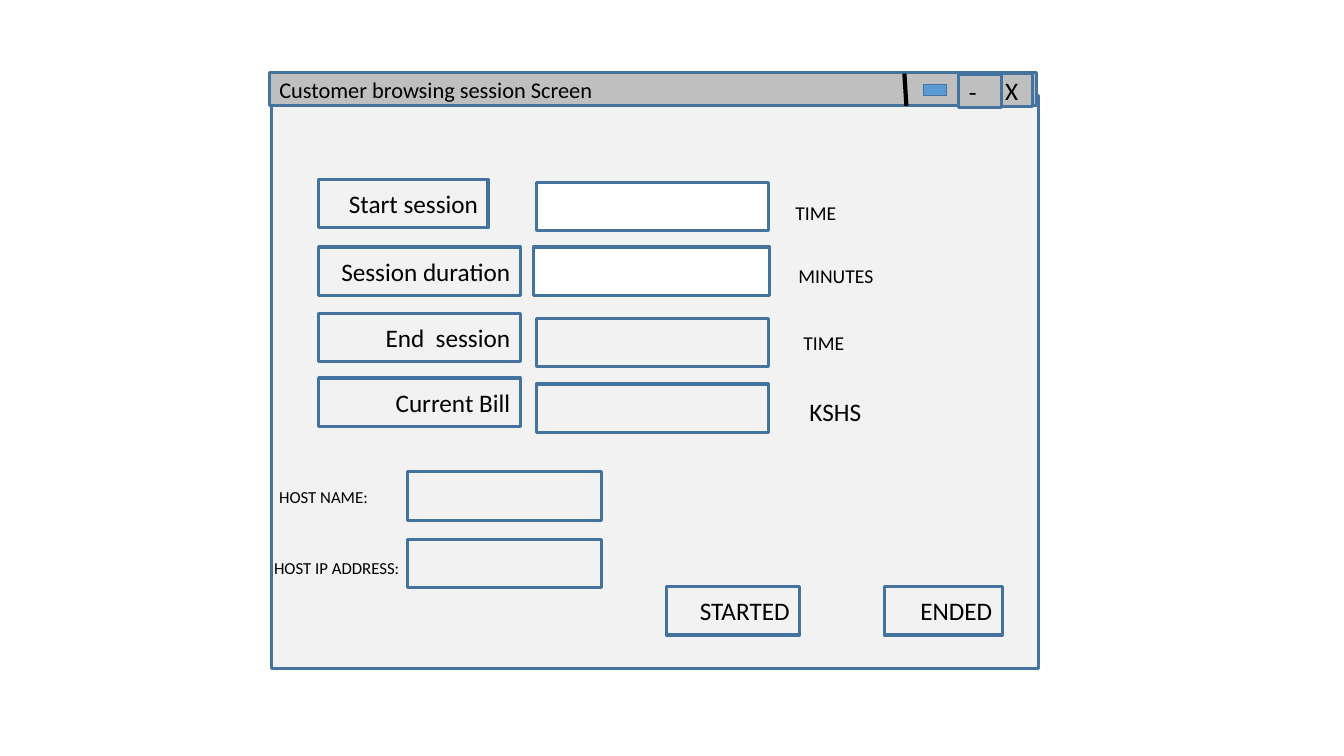
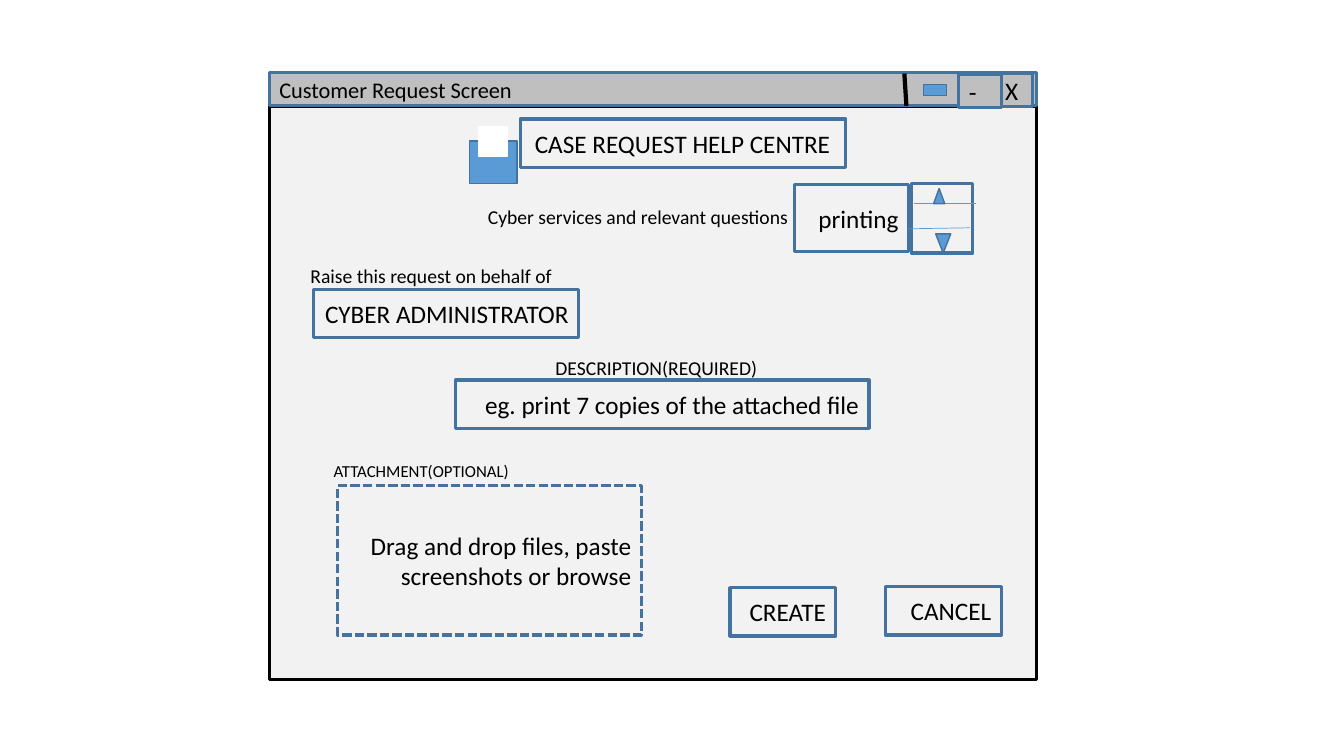
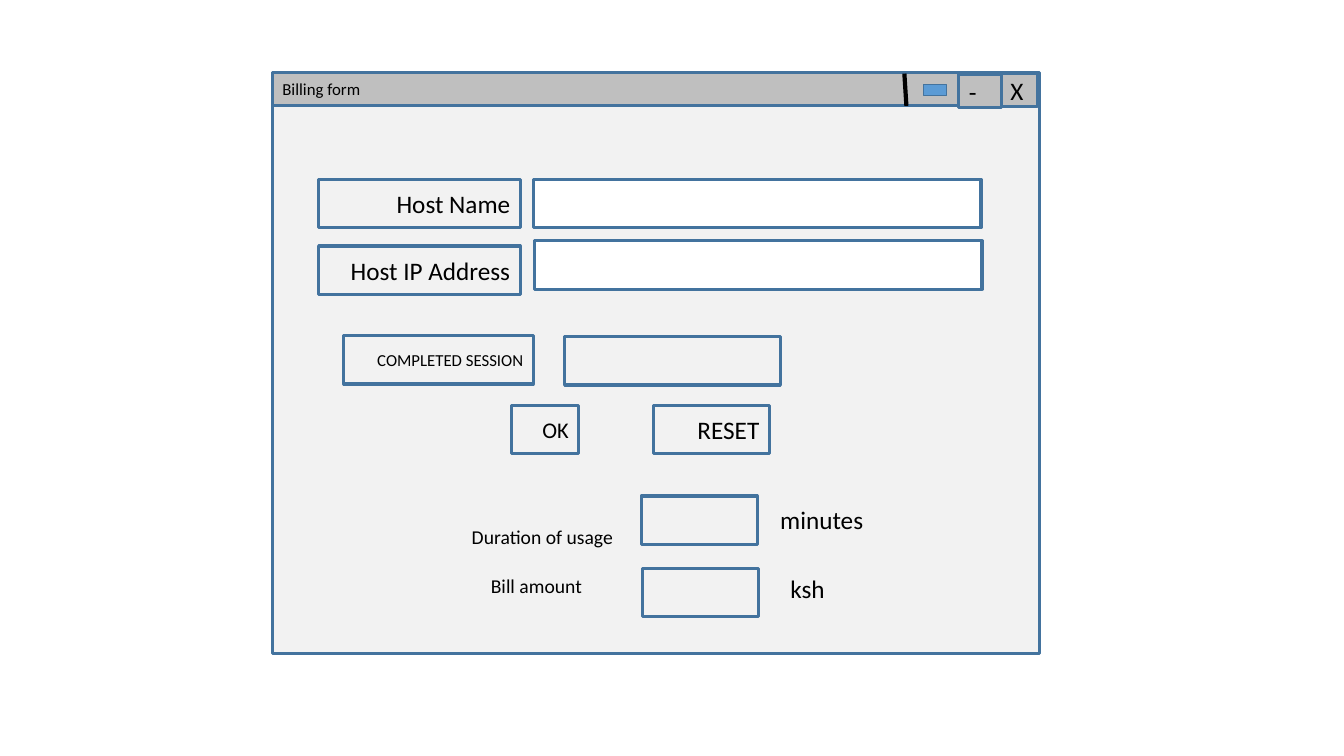
from lxml.etree import SubElement
from pptx import Presentation
from pptx.dml.color import RGBColor
from pptx.enum.dml import MSO_LINE
from pptx.enum.shapes import MSO_CONNECTOR, MSO_SHAPE
from pptx.enum.text import MSO_ANCHOR, MSO_AUTO_SIZE, PP_ALIGN
from pptx.oxml.ns import qn
from pptx.util import Inches, Pt

COLORS = {
    "panel": "F2F2F2",
    "bar": "BFBFBF",
    "border": "43739E",
    "accent": "5B9BD5",
    "input": "FFFFFF",
    "ink": "000000",
}
FONT = "Calibri"
SLIDE_WIDTH = Inches(13.33)
SLIDE_HEIGHT = Inches(7.5)
GRID_ROWS = 75
CELL = SLIDE_HEIGHT / GRID_ROWS
WINDOW_WIDTH = 76.1
WINDOW_HEIGHT = 56.8
BAR_TOP = 7.2
BAR_HEIGHT = 3.3
FIELD_HEIGHT = 4.8
LABEL_LEFT = 31.6
LABEL_WIDTH = 20


def color(name):
    return RGBColor.from_string(COLORS[name])


def cells(*counts):
    return [round(count * CELL) for count in counts]


def paint(shape, fill, border="border", weight=2.25):
    shape.fill.solid()
    shape.fill.fore_color.rgb = color(fill)
    shape.line.color.rgb = color(border)
    shape.line.width = Pt(weight)


def write(shape, text, size, alignment=PP_ALIGN.LEFT, anchor=MSO_ANCHOR.MIDDLE):
    frame = shape.text_frame
    frame.text = text
    frame.word_wrap = True
    frame.auto_size = MSO_AUTO_SIZE.NONE
    frame.vertical_anchor = anchor
    paragraph = frame.paragraphs[0]
    paragraph.alignment = alignment
    for run in paragraph.runs:
        run.font.name = FONT
        run.font.size = Pt(size)
        run.font.color.rgb = color("ink")


def add_block(slide, left, top, width, height, fill,
              border="border", weight=2.25, kind=MSO_SHAPE.RECTANGLE):
    shape = slide.shapes.add_shape(kind, *cells(left, top, width, height))
    shape.shadow.inherit = False
    paint(shape, fill, border, weight)
    return shape


def add_field(slide, left, top, width, text="", size=18, fill="panel",
              height=FIELD_HEIGHT, alignment=PP_ALIGN.RIGHT):
    field = add_block(slide, left, top, width, height, fill)
    if text:
        write(field, text, size, alignment)
    return field


def add_caption(slide, left, top, width, text, size=14):
    caption = slide.shapes.add_textbox(*cells(left, top, width, size / 5 + 0.5))
    write(caption, text, size, anchor=MSO_ANCHOR.TOP)


def add_line(slide, start, end, name, weight):
    line = slide.shapes.add_connector(MSO_CONNECTOR.STRAIGHT, *cells(*start, *end))
    line.line.color.rgb = color(name)
    line.line.width = Pt(weight)
    SubElement(line.element.spPr, qn("a:effectLst"))


def add_window(presentation, title, left, top, bar_left=26.7, title_size=16,
               close_left=98.3, border="border"):
    slide = presentation.slides.add_slide(presentation.slide_layouts[5])
    bar = slide.shapes.title
    window = add_block(slide, left, top, WINDOW_WIDTH, WINDOW_HEIGHT, "panel", border)
    bar.element.addprevious(window.element)
    bar.left, bar.top, bar.width, bar.height = cells(
        bar_left, BAR_TOP, WINDOW_WIDTH, BAR_HEIGHT)
    paint(bar, "bar")
    write(bar, title, title_size)
    add_field(slide, close_left, 7.3, 4.1, "X", fill="bar", height=BAR_HEIGHT,
              alignment=PP_ALIGN.CENTER)
    add_field(slide, 95.1, 7.4, 4.2, "-", fill="bar", height=BAR_HEIGHT,
              alignment=PP_ALIGN.LEFT)
    add_block(slide, 91.6, 8.4, 2.3, 1.1, "accent", weight=1)
    add_line(slide, (89.7, 7.3), (89.9, 10.5), "ink", 3)
    return slide


def build_session(presentation):
    slide = add_window(presentation, "Customer browsing session Screen", 26.9, 9.5)
    for top, width, text in (
        (17.8, 16.8, "Start session"),
        (24.5, LABEL_WIDTH, "Session duration"),
        (31.1, LABEL_WIDTH, "End  session"),
        (37.5, LABEL_WIDTH, "Current Bill"),
    ):
        add_field(slide, LABEL_LEFT, top, width, text)
    for left, top, width, fill in (
        (53.2, 18.1, 23, "input"),
        (52.9, 24.5, 23.4, "input"),
        (53.2, 31.6, 23, "panel"),
        (53.2, 38.1, 23, "panel"),
    ):
        add_field(slide, left, top, width, fill=fill)
    for left, top, text, size in (
        (77.9, 19.4, "TIME", 14),
        (78.2, 25.7, "MINUTES", 14),
        (78.7, 32.3, "TIME", 14),
        (79.3, 38.8, "KSHS", 18),
    ):
        add_caption(slide, left, top, 15.8, text, size)
    add_caption(slide, 26.7, 47.8, 17.3, "HOST NAME:", 12)
    add_caption(slide, 26.2, 54.8, 14.6, "HOST IP ADDRESS:", 12)
    for top in (46.8, 53.5):
        add_field(slide, 40.4, top, 19.3)
    add_field(slide, 66.1, 58.2, 13.2, "STARTED")
    add_field(slide, 87.7, 58.2, 11.7, "ENDED")


def add_spinner(slide):
    add_field(slide, 78.8, 18.3, 11.3, "printing", height=6.7)
    add_field(slide, 90.4, 18.2, 6.1, height=6.9)
    add_line(slide, (90.7, 20.2), (96.8, 20.2), "accent", 0.5)
    add_line(slide, (90.1, 22.7), (96.2, 22.6), "accent", 0.5)
    add_block(slide, 92.6, 18.7, 1.1, 1.5, "accent", weight=1,
              kind=MSO_SHAPE.ISOSCELES_TRIANGLE)
    add_block(slide, 92.8, 23.2, 1.5, 1.9, "accent", weight=1,
              kind=MSO_SHAPE.FLOWCHART_MERGE)


def build_request(presentation):
    slide = add_window(presentation, "Customer Request Screen", 26.7, 10.6, border="ink")
    add_field(slide, 51.6, 11.8, 32.3, "CASE REQUEST HELP CENTRE ")
    add_block(slide, 46.6, 14, 4.7, 4.2, "accent", weight=1)
    add_block(slide, 47.5, 12.6, 2.8, 2.9, "input", "input", 1)
    add_caption(slide, 47.4, 19.8, 32.6, "Cyber services and relevant questions")
    add_spinner(slide)
    add_caption(slide, 29.8, 25.7, 29.2, "Raise this request on behalf of")
    add_field(slide, 31.1, 28.7, 26.3, "CYBER ADMINISTRATOR")
    add_caption(slide, 54.1, 34.8, 22.7, "DESCRIPTION(REQUIRED)")
    add_field(slide, 45.2, 37.7, 41, "eg. print 7 copies of the attached file")
    add_caption(slide, 32.1, 45.2, 26.5, "ATTACHMENT(OPTIONAL)", 12)
    drop_area = add_field(slide, 33.5, 48.2, 30.1,
                          "Drag and drop files, paste screenshots or browse", height=14.8)
    drop_area.line.dash_style = MSO_LINE.SQUARE_DOT
    add_field(slide, 72.4, 58.3, 10.5, "CREATE")
    add_field(slide, 87.8, 58.2, 11.5, "CANCEL")


def build_billing(presentation):
    slide = add_window(presentation, "Billing form", 27, 8, bar_left=27,
                       title_size=12, close_left=98.8)
    add_field(slide, LABEL_LEFT, 17.8, LABEL_WIDTH, "Host Name")
    add_field(slide, 52.9, 17.8, 44.4, fill="input")
    add_field(slide, LABEL_LEFT, 24.4, LABEL_WIDTH, "Host IP Address")
    add_field(slide, 53, 23.9, 44.4, fill="input")
    add_field(slide, 34.1, 33.3, 18.8, "COMPLETED SESSION", 12)
    add_field(slide, 56, 33.4, 21.4)
    add_field(slide, 50.7, 40.2, 6.7, "OK", 16)
    add_field(slide, 64.8, 40.2, 11.5, "RESET")
    add_caption(slide, 45.8, 51.6, 16.5, "Duration of usage")
    add_field(slide, 63.6, 49.2, 11.5)
    add_caption(slide, 76.4, 49.5, 16.1, "minutes", 18)
    add_caption(slide, 47.7, 56.4, 14.6, "Bill amount")
    add_field(slide, 63.7, 56.4, 11.5)
    add_caption(slide, 77.4, 56.4, 19.8, "ksh", 18)


def main():
    presentation = Presentation()
    presentation.slide_width = SLIDE_WIDTH
    presentation.slide_height = SLIDE_HEIGHT
    build_session(presentation)
    build_request(presentation)
    build_billing(presentation)
    presentation.save("out.pptx")


main()
